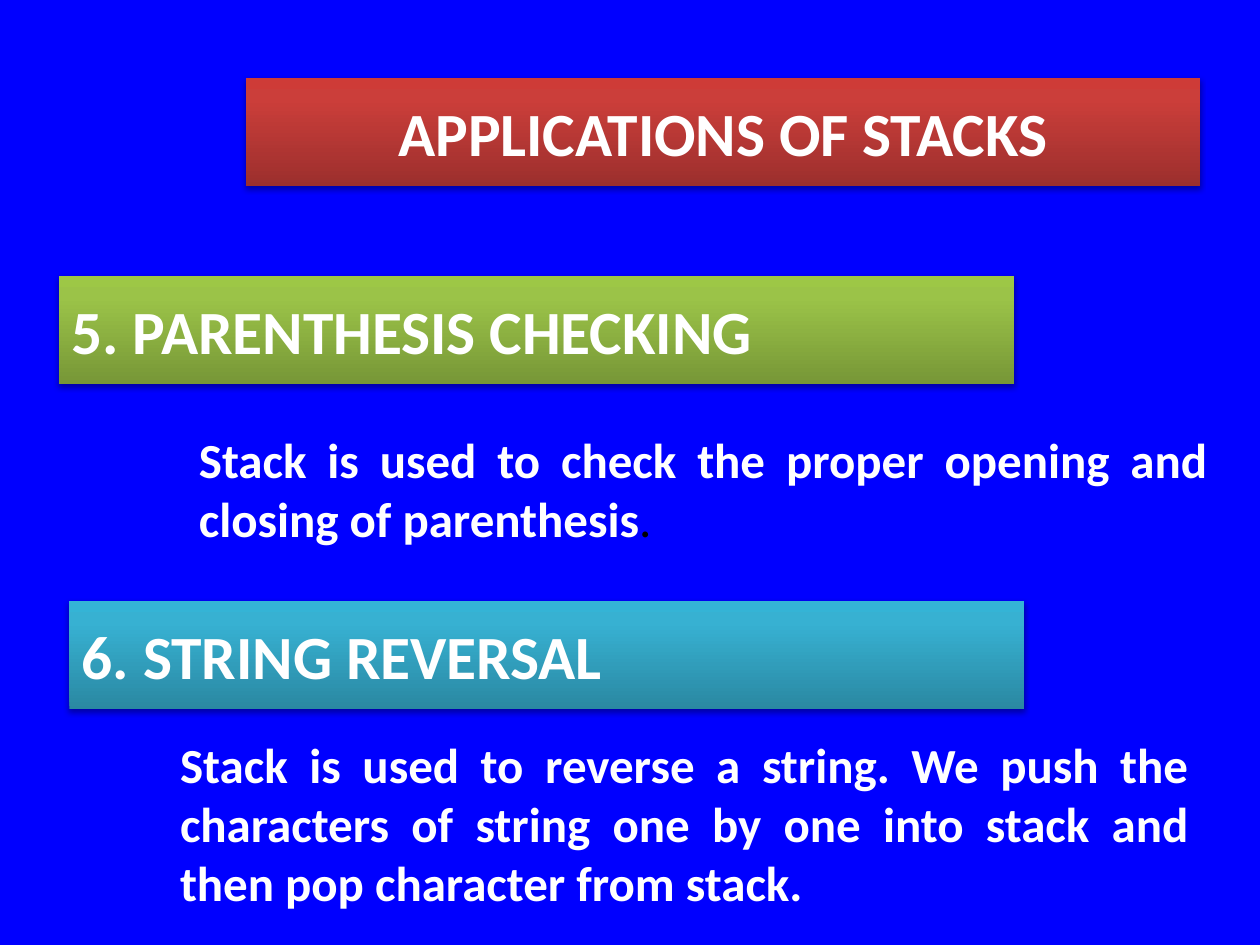
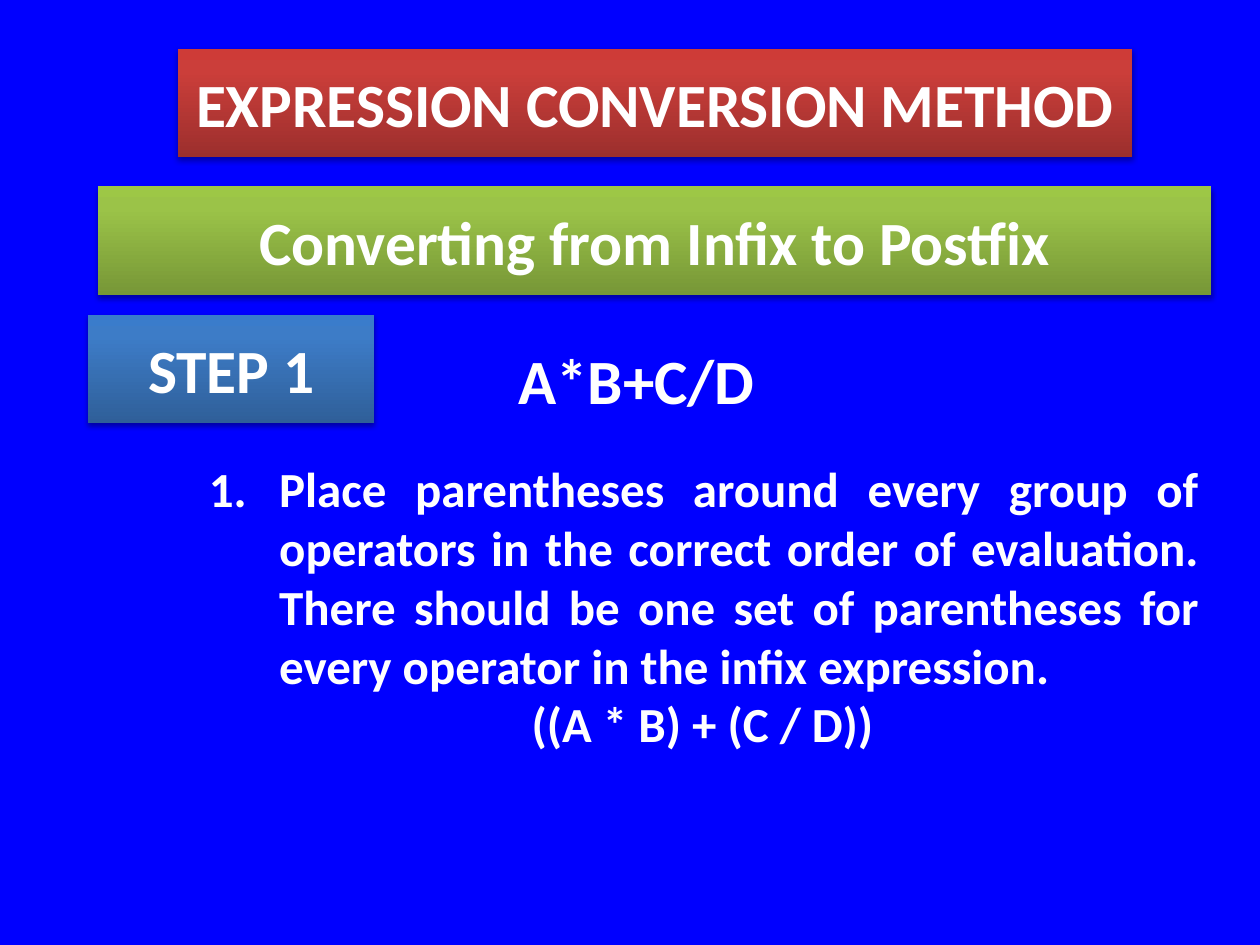
from copy import deepcopy
from dataclasses import dataclass
from typing import Optional

from lxml.etree import SubElement
from pptx import Presentation
from pptx.dml.color import RGBColor
from pptx.enum.shapes import MSO_SHAPE
from pptx.enum.text import MSO_ANCHOR, MSO_AUTO_SIZE, PP_ALIGN
from pptx.oxml.ns import qn
from pptx.util import Cm, Pt


@dataclass(frozen=True)
class Theme:
    font: str = "Calibri"
    background: str = "0000FF"
    text: str = "FFFFFF"
    stop_mark: str = "000000"
    shadow: str = "000000"
    band_size: float = 35.1
    note_size: float = 28
    expression_size: float = 36
    # Gradient colours from the bottom edge to the top edge
    red: tuple = ("9C2F2D", "CB3E3A", "CE3B37")
    green: tuple = ("779737", "9BC348", "9DC746")
    teal: tuple = ("2A88A2", "37B1D2", "34B4D6")
    blue: tuple = ("2F5F99", "3D7CC7", "3A7CCB")
    gradient_stops: tuple = (0, 0.8, 1)


THEME = Theme()
BAND_WIDTH = 19.25
BAND_HEIGHT = 2.18
HANGING = 1.42
RESULT_INDENT = 6.51


@dataclass(frozen=True)
class Band:
    """A gradient strip; lengths in centimetres."""
    text: str
    left: float
    top: float
    colours: tuple
    width: float = BAND_WIDTH
    align: PP_ALIGN = PP_ALIGN.CENTER


@dataclass(frozen=True)
class Span:
    text: str
    colour: str = THEME.text
    bold: bool = True


@dataclass(frozen=True)
class Line:
    spans: tuple
    align: PP_ALIGN = PP_ALIGN.JUSTIFY
    indent: float = 0
    number_style: Optional[str] = None


@dataclass(frozen=True)
class Note:
    """A plain text box; lengths in centimetres."""
    left: float
    top: float
    width: float
    height: float
    lines: tuple
    size: float = THEME.note_size
    wrap: bool = True


@dataclass(frozen=True)
class Page:
    title: Band
    bands: tuple
    notes: tuple


PAGES = (
    Page(
        Band("APPLICATIONS OF STACKS", 4.95, 1.57, THEME.red),
        (
            Band("5. PARENTHESIS CHECKING", 1.19, 5.56, THEME.green, align=PP_ALIGN.LEFT),
            Band("6. STRING REVERSAL", 1.4, 12.12, THEME.teal, align=PP_ALIGN.LEFT),
        ),
        (
            Note(3.76, 8.53, 20.83, 2.64, (
                Line((
                    Span("Stack is used to check the proper opening and closing of parenthesis"),
                    Span(".", THEME.stop_mark, False),
                )),
            )),
            Note(3.38, 14.68, 20.83, 3.84, (
                Line((Span("Stack is used to reverse a string. We push the characters of "
                           "string one by one into stack and then pop character from stack."),)),
            )),
        ),
    ),
    Page(
        Band("EXPRESSION CONVERSION METHOD", 3.58, 0.99, THEME.red),
        (
            Band("Converting from Infix to Postfix", 1.98, 3.76, THEME.green, width=22.43),
            Band("STEP 1", 1.78, 6.35, THEME.blue, width=5.77),
        ),
        (
            Note(3.96, 9.12, 20.45, 6.25, (
                Line((Span("Place parentheses around every group of operators in the correct "
                           "order of evaluation. There should be one set of parentheses for "
                           "every operator in the infix expression."),),
                     indent=HANGING, number_style="arabicPeriod"),
                Line((Span("((A * B) + (C / D))"),), PP_ALIGN.LEFT, RESULT_INDENT),
            )),
            Note(10.2, 6.76, 5.36, 1.8, (
                Line((Span("A*B+C/D"),), PP_ALIGN.LEFT),
            ), THEME.expression_size, wrap=False),
        ),
    ),
)


def add_span(para, span: Span, size: float) -> None:
    run = para.add_run()
    run.text = span.text
    run.font.name = THEME.font
    run.font.size = Pt(size)
    run.font.bold = span.bold
    run.font.color.rgb = RGBColor.from_string(span.colour)


def fill_gradient(box, colours: tuple) -> None:
    box.fill.gradient()
    box.fill.gradient_angle = 90
    stop_list = box._element.spPr.find(qn("a:gradFill")).find(qn("a:gsLst"))
    stop_list.append(deepcopy(stop_list[-1]))
    for stop, position, colour in zip(box.fill.gradient_stops, THEME.gradient_stops, colours):
        stop.position = position
        stop.color.rgb = RGBColor.from_string(colour)


def add_shadow(box) -> None:
    box.shadow.inherit = False
    effects = box._element.spPr.find(qn("a:effectLst"))
    shadow = SubElement(effects, qn("a:outerShdw"), blurRad=str(Pt(3.1)), dist=str(Pt(1.8)),
                        dir="5400000", rotWithShape="0")
    colour = SubElement(shadow, qn("a:srgbClr"), val=THEME.shadow)
    SubElement(colour, qn("a:alpha"), val="35000")


def format_band(box, band: Band) -> None:
    """Place and style a title placeholder or a rectangle as a band."""
    box.left, box.top = Cm(band.left), Cm(band.top)
    box.width, box.height = Cm(band.width), Cm(BAND_HEIGHT)
    fill_gradient(box, band.colours)
    box.line.fill.background()
    add_shadow(box)
    frame = box.text_frame
    frame.word_wrap = True
    frame.auto_size = MSO_AUTO_SIZE.NONE
    frame.vertical_anchor = MSO_ANCHOR.MIDDLE
    para = frame.paragraphs[0]
    para.alignment = band.align
    add_span(para, Span(band.text), THEME.band_size)


def indent_line(para, line: Line) -> None:
    properties = para._p.get_or_add_pPr()
    properties.set("marL", str(Cm(line.indent)))
    if line.number_style:
        properties.set("indent", str(-Cm(HANGING)))
        SubElement(properties, qn("a:buFont"), typeface="+mj-lt")
        SubElement(properties, qn("a:buAutoNum"), type=line.number_style)


def add_note(page, note: Note) -> None:
    box = page.shapes.add_textbox(Cm(note.left), Cm(note.top), Cm(note.width), Cm(note.height))
    frame = box.text_frame
    frame.word_wrap = note.wrap
    frame.auto_size = MSO_AUTO_SIZE.SHAPE_TO_FIT_TEXT
    for index, line in enumerate(note.lines):
        para = frame.add_paragraph() if index else frame.paragraphs[0]
        para.alignment = line.align
        if line.indent:
            indent_line(para, line)
        for span in line.spans:
            add_span(para, span, note.size)


def add_page(deck, content: Page) -> None:
    page = deck.slides.add_slide(deck.slide_layouts.get_by_name("Title Only"))
    page.background.fill.solid()
    page.background.fill.fore_color.rgb = RGBColor.from_string(THEME.background)
    format_band(page.shapes.title, content.title)
    for band in content.bands:
        format_band(page.shapes.add_shape(MSO_SHAPE.RECTANGLE, 0, 0, 0, 0), band)
    for note in content.notes:
        add_note(page, note)


def main() -> None:
    deck = Presentation()
    deck.slide_width, deck.slide_height = Cm(25.4), Cm(19.05)
    for content in PAGES:
        add_page(deck, content)
    deck.save("out.pptx")


if __name__ == "__main__":
    main()
